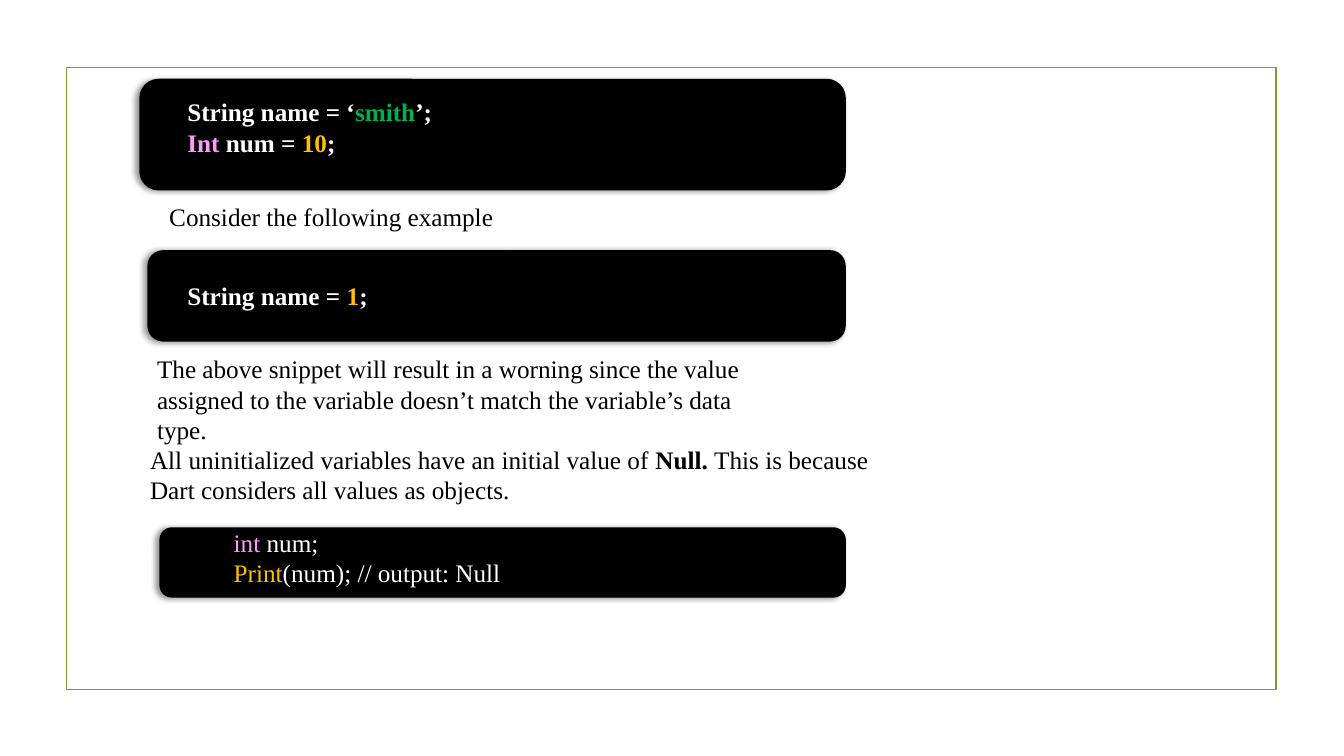
from lxml import etree
from pptx import Presentation
from pptx.dml.color import RGBColor
from pptx.enum.shapes import MSO_SHAPE
from pptx.oxml.ns import qn
from pptx.util import Inches, Pt

RECT = MSO_SHAPE.RECTANGLE
ROUND = MSO_SHAPE.ROUNDED_RECTANGLE

BLACK, WHITE, OLIVE = "000000", "FFFFFF", "83992A"
GREEN, PINK, GOLD = "00B050", "FF99FF", "FFC000"
FONT = {"name": "Times New Roman", "size": Pt(18)}


def color(code):
    return RGBColor.from_string(code)


def add_box(slide, kind, box, line, fill=None):
    shape = slide.shapes.add_shape(kind, *map(Inches, box))
    shape.shadow.inherit = False
    if fill:
        shape.fill.solid()
        shape.fill.fore_color.rgb = color(fill)
    else:
        shape.fill.background()
    shape.line.color.rgb = color(line)
    shape.line.width = Pt(1.25)
    return shape


def add_shadow(shape):
    effects = shape._element.spPr.find(qn("a:effectLst"))
    shadow = etree.SubElement(
        effects, qn("a:outerShdw"), blurRad=str(Pt(4)), dist=str(Pt(3)),
        dir="10800000", algn="r", rotWithShape="0")
    tint = etree.SubElement(shadow, qn("a:srgbClr"), val=BLACK)
    etree.SubElement(tint, qn("a:alpha"), val="40000")


def add_text(slide, box, lines):
    """Each line is a list of (text, colour, bold) parts."""
    frame = slide.shapes.add_textbox(*map(Inches, box)).text_frame
    frame.word_wrap = True
    for i, line in enumerate(lines):
        para = frame.add_paragraph() if i else frame.paragraphs[0]
        for text, code, bold in line:
            run = para.add_run()
            run.text = text
            for key, value in {**FONT, "bold": bold}.items():
                setattr(run.font, key, value)
            run.font.color.rgb = color(code)


def add_code(slide, box, inset, lines, bold=True):
    """Black panel; inset gives the text's offset from it and its size."""
    add_shadow(add_box(slide, ROUND, box, BLACK, BLACK))
    left, top, wide, high = inset
    area = (box[0] + left, box[1] + top, wide, high)
    add_text(slide, area, [[(*part, bold) for part in line] for line in lines])


def add_note(slide, box, *parts):
    add_text(slide, box, [[(text, BLACK, bold) for text, bold in parts]])


def build(slide):
    # Frame
    add_box(slide, RECT, (0.66, 0.67, 12, 6.17), OLIVE)

    # Typed variables
    add_code(slide, (1.39, 0.79, 6.99, 1.09), (0.37, 0.12, 5.46, 0.71), [
        [("String name = ‘", WHITE), ("smith", GREEN), ("’;", WHITE)],
        [("Int ", PINK), ("num = ", WHITE), ("10", GOLD), (";", WHITE)],
    ])

    # Type mismatch
    add_note(slide, (1.58, 1.95, 6.58, 0.4),
             ("Consider the following example", False))
    add_code(slide, (1.47, 2.49, 6.91, 0.89), (0.29, 0.24, 4.82, 0.4), [
        [("String name = ", WHITE), ("1", GOLD), (";", WHITE)],
    ])
    add_note(slide, (1.46, 3.46, 6.3, 0.71),
             ("The above snippet will result in a worning since the value "
              "assigned to the variable doesn’t match the variable’s data "
              "type.", False))

    # Null by default
    add_note(slide, (1.39, 4.36, 7.43, 0.71),
             ("All uninitialized variables have an initial value of ", False),
             ("Null. ", True),
             ("This is because Dart considers all values as objects.", False))
    add_code(slide, (1.59, 5.24, 6.79, 0.68), (0.63, -0.06, 4.23, 0.71), [
        [("int ", PINK), ("num;", WHITE)],
        [("Print", GOLD), ("(num); // output: Null", WHITE)],
    ], bold=False)


def main():
    deck = Presentation()
    deck.slide_width, deck.slide_height = Inches(13.33), Inches(7.5)
    build(deck.slides.add_slide(deck.slide_layouts[6]))
    deck.save("out.pptx")


if __name__ == "__main__":
    main()
